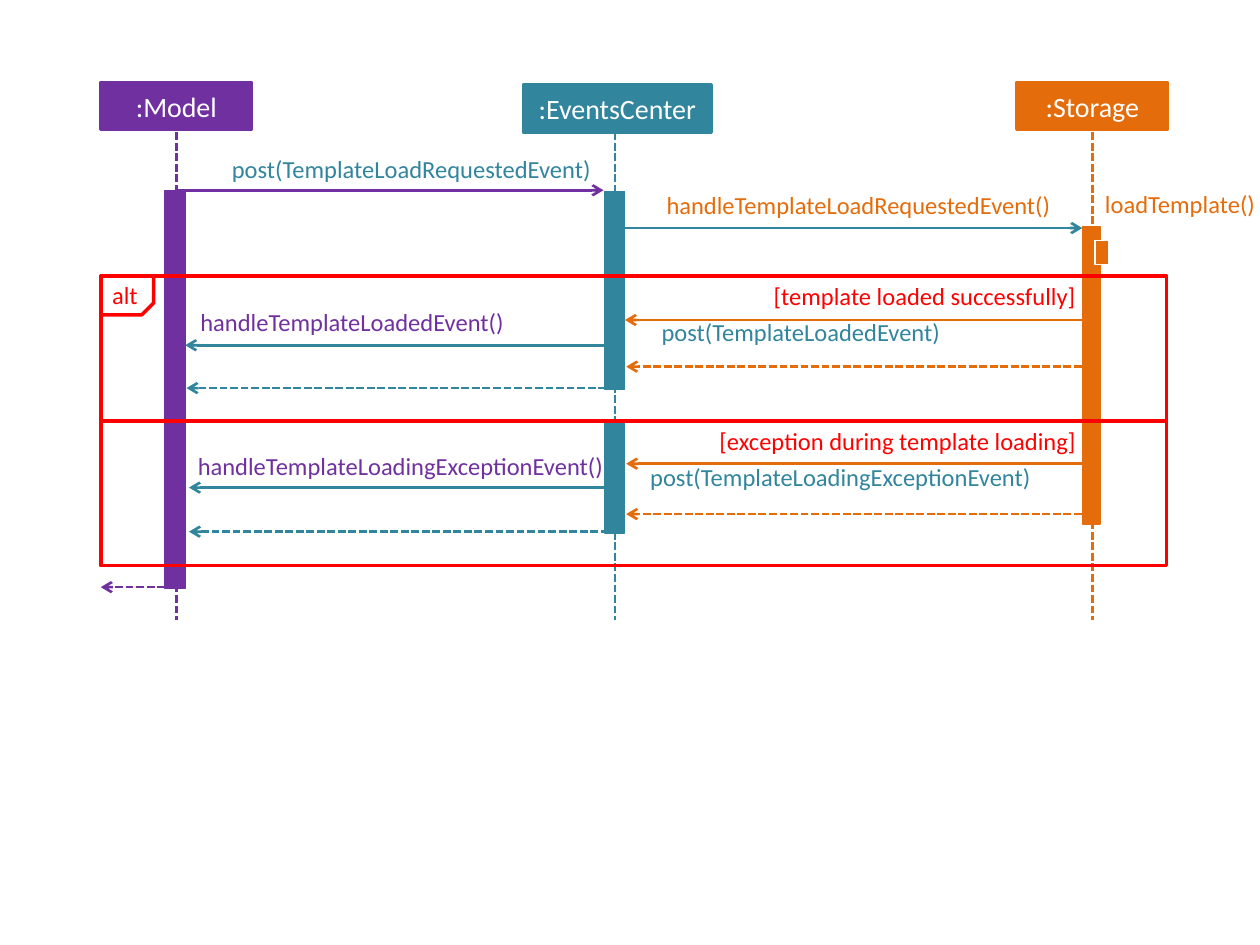
from dataclasses import dataclass

from lxml import etree
from pptx import Presentation
from pptx import util as u
from pptx.dml.color import RGBColor
from pptx.enum import dml, shapes, text
from pptx.oxml.ns import qn

PURPLE = RGBColor(0x70, 0x30, 0xA0)
TEAL = RGBColor(0x31, 0x85, 0x9C)
ORANGE = RGBColor(0xE4, 0x6C, 0x0A)
RED = RGBColor(0xFF, 0x00, 0x00)
WHITE = RGBColor(0xFF, 0xFF, 0xFF)

FONT = "Calibri"
HEADER_HEIGHT = 0.38
LIFELINE_TOP, LIFELINE_BOTTOM = 1.05, 4.92
FRAME_LEFT, FRAME_TOP, FRAME_WIDTH, FRAME_HEIGHT = 0.8, 2.19, 8.46, 2.3
DIVIDER_Y = 3.34


@dataclass
class Bar:
    left: float
    top: float
    width: float
    height: float


@dataclass
class Participant:
    name: str
    color: RGBColor
    left: float
    top: float
    width: float
    axis: float
    bars: list[Bar]


@dataclass
class Message:
    start: float
    end: float
    y: float
    color: RGBColor
    dashed: bool = False


@dataclass
class Label:
    wording: str
    left: float
    top: float
    width: float
    color: RGBColor


PARTICIPANTS = [
    Participant(":Storage", ORANGE, 8.07, 0.65, 1.2, 8.67, [Bar(8.59, 1.8, 0.14, 2.36)]),
    Participant(":EventsCenter", TEAL, 4.15, 0.67, 1.5, 4.88,
                [Bar(4.8, 1.52, 0.16, 1.57), Bar(4.8, 3.36, 0.16, 0.87)]),
    Participant(":Model", PURPLE, 0.8, 0.65, 1.2, 1.4, [Bar(1.31, 1.51, 0.16, 3.16)]),
]

MESSAGES = [
    Message(1.39, 4.79, 1.51, PURPLE),
    Message(4.96, 8.59, 1.81, TEAL),
    # Template loaded
    Message(8.66, 4.96, 2.54, ORANGE),
    Message(4.82, 1.47, 2.74, TEAL),
    Message(8.67, 4.97, 2.91, ORANGE, dashed=True),
    Message(4.81, 1.48, 3.08, TEAL, dashed=True),
    # Loading failed
    Message(8.67, 4.97, 3.68, ORANGE),
    Message(4.84, 1.5, 3.87, TEAL),
    Message(8.67, 4.97, 4.08, ORANGE, dashed=True),
    Message(4.83, 1.5, 4.22, TEAL, dashed=True),
    # Return to the caller
    Message(1.31, 0.8, 4.66, PURPLE, dashed=True),
]

LABELS = [
    Label("post(TemplateLoadRequestedEvent)", 1.84, 1.22, 2.97, TEAL),
    Label("handleTemplateLoadRequestedEvent()", 5.29, 1.51, 3.13, ORANGE),
    Label("loadTemplate()", 8.77, 1.5, 1.2, ORANGE),
    Label("handleTemplateLoadedEvent()", 1.59, 2.44, 2.91, PURPLE),
    Label("post(TemplateLoadedEvent)", 5.25, 2.52, 2.52, TEAL),
    Label("handleTemplateLoadingExceptionEvent()", 1.57, 3.58, 3.37, PURPLE),
    Label("post(TemplateLoadingExceptionEvent)", 5.16, 3.67, 3.05, TEAL),
    Label("alt", 0.89, 2.22, 0.3, RED),
    Label("[template loaded successfully]", 6.14, 2.23, 2.52, RED),
    Label("[exception during template loading]", 5.71, 3.38, 2.85, RED),
]

# Self-call loop: start point, then two cubic segments
LOOP_START = (8.75, 1.86)
LOOP_CURVES = [
    ((8.8, 1.82), (8.85, 1.78), (8.88, 1.79)),
    ((8.9, 1.79), (8.92, 1.86), (8.9, 1.89)),
    ((8.89, 1.92), (8.84, 1.94), (8.79, 1.96)),
]


def add_arrowhead(shape) -> None:
    line = shape.line._get_or_add_ln()
    etree.SubElement(line, qn("a:tailEnd"), type="arrow")


def add_line(slide, x1: float, y1: float, x2: float, y2: float,
             color: RGBColor, weight: float = 1.5, dashed: bool = False):
    connector = slide.shapes.add_connector(
        shapes.MSO_CONNECTOR.STRAIGHT,
        u.Inches(x1), u.Inches(y1), u.Inches(x2), u.Inches(y2))
    connector.line.color.rgb = color
    connector.line.width = u.Pt(weight)
    if dashed:
        connector.line.dash_style = dml.MSO_LINE.SQUARE_DOT
    etree.SubElement(connector._element.spPr, qn("a:effectLst"))
    return connector


def add_box(slide, bar: Bar, fill: RGBColor | None, line: RGBColor, weight: float,
            kind=shapes.MSO_SHAPE.RECTANGLE):
    shape = slide.shapes.add_shape(
        kind, u.Inches(bar.left), u.Inches(bar.top),
        u.Inches(bar.width), u.Inches(bar.height))
    shape.shadow.inherit = False
    if fill is None:
        shape.fill.background()
    else:
        shape.fill.solid()
        shape.fill.fore_color.rgb = fill
    shape.line.color.rgb = line
    shape.line.width = u.Pt(weight)
    return shape


def add_run(paragraph, wording: str, size: int, color: RGBColor) -> None:
    run = paragraph.add_run()
    run.text = wording
    run.font.name = FONT
    run.font.size = u.Pt(size)
    run.font.color.rgb = color


def add_participant(slide, participant: Participant) -> None:
    header = Bar(participant.left, participant.top, participant.width, HEADER_HEIGHT)
    shape = add_box(slide, header, participant.color, participant.color, 1.5)
    shape.text_frame.vertical_anchor = text.MSO_ANCHOR.MIDDLE
    paragraph = shape.text_frame.paragraphs[0]
    paragraph.alignment = text.PP_ALIGN.CENTER
    add_run(paragraph, participant.name, 16, WHITE)
    add_line(slide, participant.axis, LIFELINE_TOP, participant.axis, LIFELINE_BOTTOM,
             participant.color, dashed=True)
    for bar in participant.bars:
        add_box(slide, bar, participant.color, participant.color, 0.75)


def add_label(slide, label: Label) -> None:
    box = slide.shapes.add_textbox(
        u.Inches(label.left), u.Inches(label.top), u.Inches(label.width), u.Inches(0.24))
    frame = box.text_frame
    frame.word_wrap = True
    frame.margin_left = frame.margin_right = frame.margin_top = frame.margin_bottom = 0
    add_run(frame.paragraphs[0], label.wording, 14, label.color)


def add_self_call(slide, steps: int = 10) -> None:
    points = [LOOP_START]
    for curve in LOOP_CURVES:
        a, (b, c, d) = points[-1], curve
        for t in (step / steps for step in range(1, steps + 1)):
            s = 1 - t
            points.append(tuple(
                s**3 * a[i] + 3 * s * s * t * b[i] + 3 * s * t * t * c[i] + t**3 * d[i]
                for i in (0, 1)))
    builder = slide.shapes.build_freeform(*LOOP_START, scale=u.Inches(1))
    builder.add_line_segments(points[1:], close=False)
    loop = builder.convert_to_shape()
    loop.shadow.inherit = False
    loop.fill.background()
    loop.line.color.rgb = ORANGE
    loop.line.width = u.Pt(1.5)
    add_arrowhead(loop)
    add_box(slide, Bar(8.69, 1.91, 0.11, 0.19), ORANGE, WHITE, 0.75)


def add_alt_frame(slide) -> None:
    frame = Bar(FRAME_LEFT, FRAME_TOP, FRAME_WIDTH, FRAME_HEIGHT)
    add_box(slide, frame, None, RED, 2)
    add_line(slide, FRAME_LEFT, DIVIDER_Y, FRAME_LEFT + FRAME_WIDTH, DIVIDER_Y, RED, 2)
    tab = add_box(slide, Bar(FRAME_LEFT, FRAME_TOP, 0.42, 0.31), None, RED, 2,
                  shapes.MSO_SHAPE.SNIP_1_RECTANGLE)
    tab.adjustments[0] = 0.31
    tab._element.spPr.xfrm.set("flipV", "1")


def main() -> None:
    presentation = Presentation()
    presentation.slide_width, presentation.slide_height = u.Inches(10), u.Inches(7.5)
    slide = presentation.slides.add_slide(presentation.slide_layouts[6])
    for participant in PARTICIPANTS:
        add_participant(slide, participant)
    for message in MESSAGES:
        add_arrowhead(add_line(slide, message.start, message.y, message.end, message.y,
                               message.color, dashed=message.dashed))
    add_self_call(slide)
    add_alt_frame(slide)
    for label in LABELS:
        add_label(slide, label)
    presentation.save("out.pptx")


if __name__ == "__main__":
    main()
